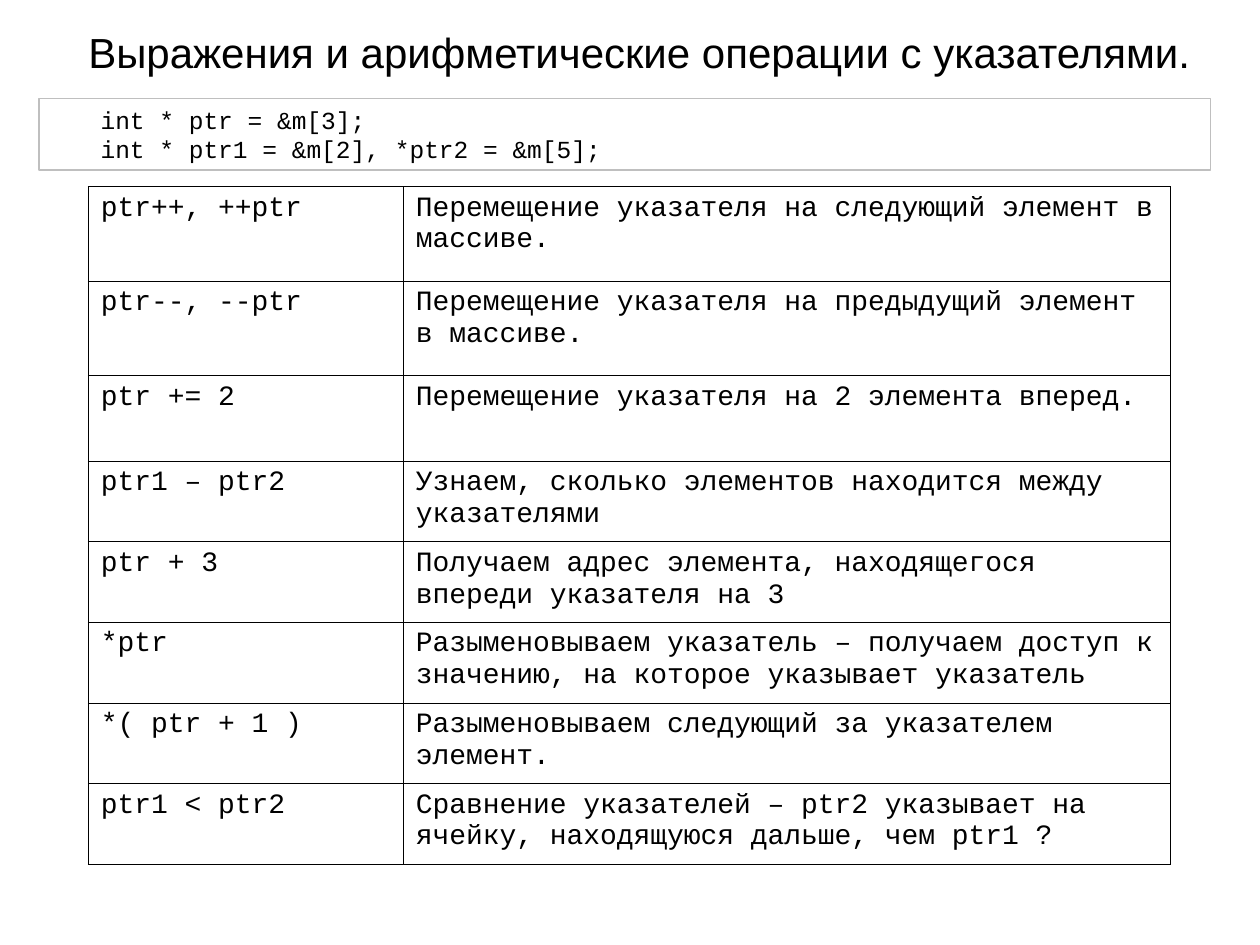
from lxml import etree
from pptx import Presentation
from pptx.dml.color import RGBColor
from pptx.enum.shapes import MSO_SHAPE
from pptx.enum.text import MSO_ANCHOR, PP_ALIGN
from pptx.oxml.ns import qn
from pptx.util import Inches, Pt

RECT = MSO_SHAPE.RECTANGLE
MIDDLE = MSO_ANCHOR.MIDDLE
CENTER, LEFT = PP_ALIGN.CENTER, PP_ALIGN.LEFT
BLACK = RGBColor(0, 0, 0)
WHITE = RGBColor(255, 255, 255)
GRAY = RGBColor(0xBF, 0xBF, 0xBF)

CODE = ["\tint * ptr = &m[3];", "\tint * ptr1 = &m[2], *ptr2 = &m[5];"]
CODE_TAB = 0.39
COLS = [2.5, 6.09]
ROWS = [
    (0.75, "ptr++, ++ptr", "Перемещение указателя на следующий элемент в массиве."),
    (0.75, "ptr--, --ptr", "Перемещение указателя на предыдущий элемент в массиве."),
    (0.68, "ptr += 2", "Перемещение указателя на 2 элемента вперед."),
    (0.64, "ptr1 – ptr2", "Узнаем, сколько элементов находится между указателями"),
    (0.64, "ptr + 3", "Получаем адрес элемента, находящегося впереди указателя на 3"),
    (0.64, "*ptr", "Разыменовываем указатель – получаем доступ к значению, "
                   "на которое указывает указатель"),
    (0.64, "*( ptr + 1 )", "Разыменовываем следующий за указателем элемент."),
    (0.64, "ptr1 < ptr2", "Сравнение указателей – ptr2 указывает на ячейку, "
                          "находящуюся дальше, чем ptr1 ?"),
]


def style(p, font, size, align=LEFT):
    p.alignment = align
    for r in p.runs:
        r.font.name = font
        r.font.size = Pt(size)
        r.font.color.rgb = BLACK


def add_borders(cell):
    """Draw thin black lines on all four sides; they must precede the fill."""
    tcPr = cell._tc.get_or_add_tcPr()
    for side in ("a:lnL", "a:lnR", "a:lnT", "a:lnB"):
        ln = etree.SubElement(tcPr, qn(side), w=str(Pt(0.45)))
        fill = etree.SubElement(ln, qn("a:solidFill"))
        etree.SubElement(fill, qn("a:srgbClr"), val=str(BLACK))


prs = Presentation()
prs.slide_width, prs.slide_height = Inches(10), Inches(7.5)
s = prs.slides.add_slide(prs.slide_layouts[6])

# Title
tf = s.shapes.add_textbox(Inches(0.23), Inches(0.16), Inches(9.69), Inches(0.5)).text_frame
tf.word_wrap = True
tf.text = "Выражения и арифметические операции с указателями."
style(tf.paragraphs[0], "Arial", 24, CENTER)

# Declarations
sp = s.shapes.add_shape(RECT, Inches(0.31), Inches(0.78), Inches(9.3), Inches(0.57))
sp.shadow.inherit = False
sp.fill.background()
sp.line.color.rgb = GRAY
sp.line.width = Pt(0.75)
tf = sp.text_frame
tf.word_wrap = True
tf.vertical_anchor = MIDDLE
tf.text = "\n".join(CODE)
for p in tf.paragraphs:
    tabs = etree.SubElement(p._p.get_or_add_pPr(), qn("a:tabLst"))
    for stop in range(8):
        etree.SubElement(tabs, qn("a:tab"), pos=str(Inches(CODE_TAB * stop)), algn="l")
    style(p, "Courier New", 14)

# Pointer operations
table = s.shapes.add_table(len(ROWS), len(COLS), Inches(0.7), Inches(1.48),
                           Inches(sum(COLS)), Inches(sum(row[0] for row in ROWS))).table
table.first_row = table.horz_banding = False
for column, width in zip(table.columns, COLS):
    column.width = Inches(width)
for row, (height, *texts) in zip(table.rows, ROWS):
    row.height = Inches(height)
    for cell, text in zip(row.cells, texts):
        cell.text = text
        style(cell.text_frame.paragraphs[0], "Courier New", 16)
        add_borders(cell)
        cell.fill.solid()
        cell.fill.fore_color.rgb = WHITE

prs.save("out.pptx")
